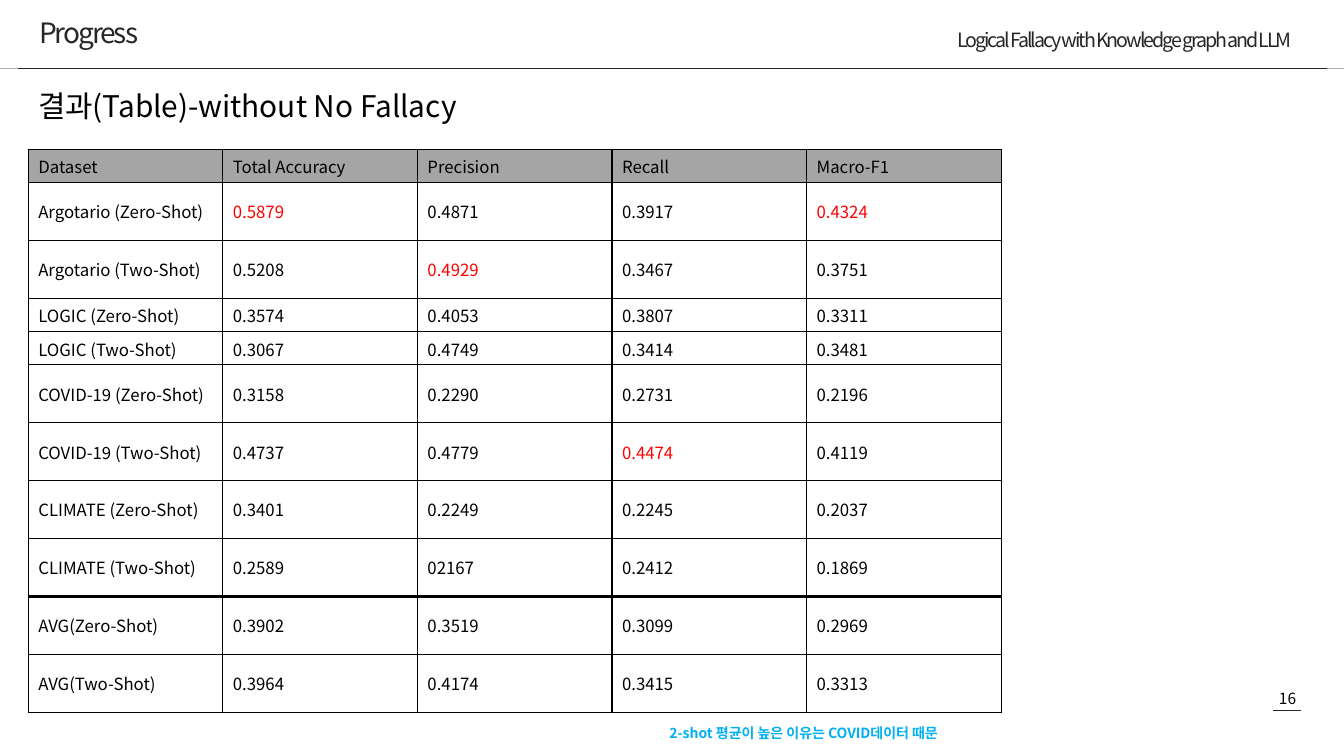
from lxml import etree
from pptx import Presentation
from pptx.dml.color import RGBColor
from pptx.enum.shapes import MSO_CONNECTOR, MSO_SHAPE
from pptx.enum.text import MSO_ANCHOR, MSO_AUTO_SIZE, PP_ALIGN
from pptx.oxml.ns import qn
from pptx.util import Inches, Pt

LEFT, CENTER, RIGHT = PP_ALIGN.LEFT, PP_ALIGN.CENTER, PP_ALIGN.RIGHT
TOP, MIDDLE, BOTTOM = MSO_ANCHOR.TOP, MSO_ANCHOR.MIDDLE, MSO_ANCHOR.BOTTOM
FIT_SHAPE, NO_FIT = MSO_AUTO_SIZE.SHAPE_TO_FIT_TEXT, MSO_AUTO_SIZE.NONE
STRAIGHT = MSO_CONNECTOR.STRAIGHT
RECTANGLE = MSO_SHAPE.RECTANGLE
TITLE_ONLY = 5

FONT = "Noto Sans CJK KR"
BLACK, DARK, GRAY, RED, BLUE = "000000", "262626", "A5A5A5", "FF0000", "00B0F0"

RESULTS = [
    ["Dataset", "Total Accuracy", "Precision", "Recall", "Macro-F1"],
    ["Argotario (Zero-Shot)", "0.5879", "0.4871", "0.3917", "0.4324"],
    ["Argotario (Two-Shot)", "0.5208", "0.4929", "0.3467", "0.3751"],
    ["LOGIC (Zero-Shot)", "0.3574", "0.4053", "0.3807", "0.3311"],
    ["LOGIC (Two-Shot)", "0.3067", "0.4749", "0.3414", "0.3481"],
    ["COVID-19 (Zero-Shot)", "0.3158", "0.2290", "0.2731", "0.2196"],
    ["COVID-19 (Two-Shot)", "0.4737", "0.4779", "0.4474", "0.4119"],
    ["CLIMATE (Zero-Shot)", "0.3401", "0.2249", "0.2245", "0.2037"],
    ["CLIMATE (Two-Shot)", "0.2589", "02167", "0.2412", "0.1869"],
    ["AVG(Zero-Shot)", "0.3902", "0.3519", "0.3099", "0.2969"],
    ["AVG(Two-Shot)", "0.3964", "0.4174", "0.3415", "0.3313"],
]
BEST_SCORES = {(1, 1), (1, 4), (2, 2), (6, 3)}
SHORT_ROWS = {0, 3, 4}
FIRST_AVERAGE_ROW = 9
TABLE_WIDTH, TABLE_HEIGHT = 9.65, 5.59
SHORT_HEIGHT = 0.33


def rgb(color):
    return RGBColor.from_string(color)


def format_text(frame, size, color, bold=False, spacing=None):
    for paragraph in frame.paragraphs:
        for run in paragraph.runs:
            run.font.size = Pt(size)
            run.font.bold = bold
            run.font.name = FONT
            run.font.color.rgb = rgb(color)
            properties = run._r.get_or_add_rPr()
            etree.SubElement(properties, qn("a:ea"), typeface=FONT)
            if spacing is not None:
                properties.set("spc", str(int(spacing * 100)))


def add_label(slide, text, left, top, width, height, size, color,
              align=LEFT, anchor=TOP, bold=False, spacing=None):
    label = slide.shapes.add_textbox(
        Inches(left), Inches(top), Inches(width), Inches(height))
    frame = label.text_frame
    frame.word_wrap = True
    frame.auto_size = FIT_SHAPE
    frame.vertical_anchor = anchor
    frame.text = text
    frame.paragraphs[0].alignment = align
    format_text(frame, size, color, bold, spacing)


def add_rule(slide, start, end, y):
    rule = slide.shapes.add_connector(
        STRAIGHT, Inches(start), Inches(y), Inches(end), Inches(y))
    rule.line.color.rgb = rgb(DARK)
    rule.line.width = Pt(0.5)
    etree.SubElement(rule._element.spPr, qn("a:effectLst"))


def add_header_band(slide):
    band = slide.shapes.add_shape(
        RECTANGLE, 0, Inches(0.68), Inches(13.33), 0)
    band.shadow.inherit = False
    band.fill.solid()
    band.fill.fore_color.rgb = rgb(DARK)
    band.line.fill.background()


def set_title(slide, text):
    title = slide.shapes.title
    title.left, title.top = Inches(0.29), Inches(-0.07)
    title.width, title.height = Inches(6.1), Inches(0.68)
    frame = title.text_frame
    frame.text = text
    frame.word_wrap = True
    frame.auto_size = NO_FIT
    frame.vertical_anchor = MIDDLE
    frame.paragraphs[0].alignment = LEFT
    frame.paragraphs[0].line_spacing = 1.3
    format_text(frame, 20, DARK, spacing=-1.5)


def set_borders(cell, top=1, bottom=1):
    properties = cell._tc.get_or_add_tcPr()
    widths = {"a:lnL": 1, "a:lnR": 1, "a:lnT": top, "a:lnB": bottom}
    for position, (side, width) in enumerate(widths.items()):
        border = etree.Element(qn(side), w=str(Pt(width)))
        fill = etree.SubElement(border, qn("a:solidFill"))
        etree.SubElement(fill, qn("a:srgbClr"), val=BLACK)
        properties.insert(position, border)


def add_results_table(slide):
    row_count, column_count = len(RESULTS), len(RESULTS[0])
    table = slide.shapes.add_table(
        row_count, column_count, Inches(0.28), Inches(1.48),
        Inches(TABLE_WIDTH), Inches(TABLE_HEIGHT)).table
    table.horz_banding = False

    # Column widths and row heights
    for column in table.columns:
        column.width = Inches(TABLE_WIDTH / column_count)
    tall_height = ((TABLE_HEIGHT - SHORT_HEIGHT * len(SHORT_ROWS))
                   / (row_count - len(SHORT_ROWS)))
    for index, row in enumerate(table.rows):
        row.height = Inches(SHORT_HEIGHT if index in SHORT_ROWS else tall_height)

    # Cells, with a heavy rule above the averages
    for row_index, values in enumerate(RESULTS):
        for column_index, value in enumerate(values):
            cell = table.cell(row_index, column_index)
            cell.text = value
            cell.vertical_anchor = MIDDLE
            best = (row_index, column_index) in BEST_SCORES
            format_text(cell.text_frame, 12, RED if best else BLACK)
            if row_index == 0:
                cell.fill.solid()
                cell.fill.fore_color.rgb = rgb(GRAY)
            else:
                cell.fill.background()
            set_borders(cell,
                        top=3 if row_index == FIRST_AVERAGE_ROW else 1,
                        bottom=3 if row_index + 1 == FIRST_AVERAGE_ROW else 1)


def main():
    presentation = Presentation()
    presentation.slide_width = Inches(13.33)
    presentation.slide_height = Inches(7.5)
    slide = presentation.slides.add_slide(
        presentation.slide_layouts[TITLE_ONLY])

    # Page number
    add_label(slide, "16", 12.43, 6.79, 0.68, 0.29, 11, BLACK, align=CENTER)
    add_rule(slide, 12.63, 12.9, 7.05)

    # Header
    add_label(slide, "Logical Fallacy with Knowledge graph and LLM",
              7.16, 0.22, 5.75, 0.34, 14, DARK,
              align=RIGHT, anchor=BOTTOM, spacing=-1.5)
    add_header_band(slide)
    add_rule(slide, 0.18, 13.16, 0.68)
    set_title(slide, "Progress")

    # Results
    add_label(slide, "결과(Table)-without No Fallacy",
              0.28, 0.82, 9.45, 0.46, 21.3, BLACK)
    add_results_table(slide)
    add_label(slide, "2-shot 평균이 높은 이유는 COVID데이터 때문",
              6.54, 7.14, 3.28, 0.27, 10, BLUE, bold=True)

    presentation.save("out.pptx")


if __name__ == "__main__":
    main()
